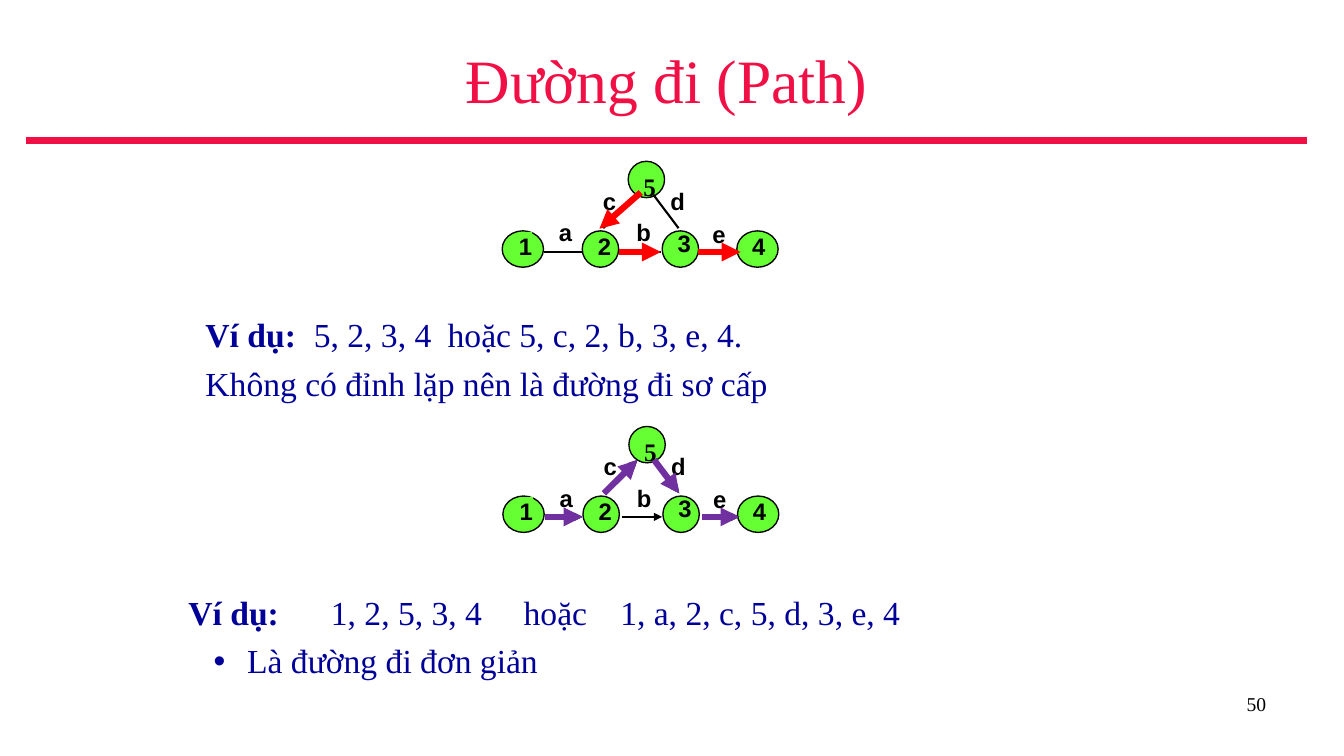
from lxml import etree
from pptx import Presentation
from pptx import util as u
from pptx.dml.color import RGBColor
from pptx.enum import shapes, text
from pptx.oxml import ns

COLORS = {"title": "F01045", "body": "000099", "ink": "000000",
          "node": "66FF33", "simple": "7030A0", "elementary": "FF0000"}
SERIF, SANS = "Times New Roman", "Arial"
NODES = [(0, 49.7, 29.5), (57.2, 49.7, 26), (114.3, 49.7, 26), (167.6, 49.7, 29.5)]
LABELS = {"2": (68.4, 50.4), "3": (125.4, 48.2), "4": (178.6, 50.4),
          "a": (40.5, 40.6), "b": (95.8, 40.6), "c": (72, 18),
          "d": (120.2, 18), "e": (150.1, 41.8)}
EDGES = {"a": (30, 64.6, 57, 64.6), "b": (85, 64.6, 113.8, 64.6),
         "c": (72.2, 47.8, 96.2, 23.9), "d": (108, 23.9, 126, 47.8),
         "e": (142.6, 64.6, 169, 64.6)}
ELEMENTARY_PATH = [(99, 22.3, 69.5, 48.2), (83.2, 64.8, 113.4, 64.8),
                   (140, 64.8, 170.3, 64.8)]
SIMPLE_PATH = [EDGES[name] for name in "acde"]


class SlideBuilder:
    """Draws styled elements on the current slide, with lengths in points."""

    def __init__(self, slide):
        self.slide = slide

    def color(self, name):
        return RGBColor.from_string(COLORS[name])

    def style(self, font, size, color, bold=False, name=SERIF):
        font.name, font.size, font.bold = name, u.Pt(size), bold
        font.color.rgb = self.color(color)

    def place(self, shape, *box):
        shape.left, shape.top, shape.width, shape.height = map(u.Pt, box)

    def title(self, wording, *box):
        shape = self.slide.shapes.title
        self.place(shape, *box)
        frame = shape.text_frame
        frame.text = wording
        frame.auto_size = text.MSO_AUTO_SIZE.NONE
        frame.vertical_anchor = text.MSO_ANCHOR.TOP
        frame.margin_top = u.Pt(9.4)
        paragraph = frame.paragraphs[0]
        paragraph.alignment = text.PP_ALIGN.CENTER
        paragraph.space_before = u.Pt(0)
        self.style(paragraph.runs[0].font, 44, "title")

    def text_box(self, *box):
        frame = self.slide.shapes.add_textbox(*map(u.Pt, box)).text_frame
        frame.word_wrap = True
        return frame

    def number(self, wording, *box):
        frame = self.text_box(*box)
        frame.text = wording
        frame.paragraphs[0].alignment = text.PP_ALIGN.RIGHT
        self.style(frame.paragraphs[0].runs[0].font, 14, "ink")

    def example(self, box, wording, note, tabs, bullet=False):
        frame = self.text_box(*box)
        if bullet:
            self.clear_margins(frame)
        frame.text = "Ví dụ:"
        first = frame.paragraphs[0]
        first.add_run().text = wording
        tab_list = etree.SubElement(first._p.get_or_add_pPr(), ns.qn("a:tabLst"))
        for tab in tabs:
            etree.SubElement(tab_list, ns.qn("a:tab"), pos=str(u.Pt(tab)), algn="l")
        second = frame.add_paragraph()
        second.text = note
        if bullet:
            properties = second._p.get_or_add_pPr()
            properties.set("marL", str(u.Pt(36)))
            properties.set("indent", str(u.Pt(-18)))
            etree.SubElement(properties, ns.qn("a:buFont"), typeface=SANS)
            etree.SubElement(properties, ns.qn("a:buChar"), char="•")
        second.space_before = u.Pt(6)
        for run in first.runs + second.runs:
            self.style(run.font, 24, "body", bold=run.text == "Ví dụ:")

    def clear_margins(self, frame):
        frame.margin_left = frame.margin_top = frame.margin_right = frame.margin_bottom = 0

    def node(self, left, top, width, wording=""):
        shape = self.slide.shapes.add_shape(
            shapes.MSO_SHAPE.OVAL, *map(u.Pt, (left, top, width, 26)))
        shape.shadow.inherit = False
        shape.fill.solid()
        shape.fill.fore_color.rgb = self.color("node")
        shape.line.color.rgb = self.color("ink")
        shape.line.width = u.Pt(0.95)
        if wording:
            frame = shape.text_frame
            frame.text = wording
            frame.vertical_anchor = text.MSO_ANCHOR.TOP
            frame.paragraphs[0].alignment = text.PP_ALIGN.LEFT
            self.style(frame.paragraphs[0].runs[0].font, 18, "ink", bold=True)

    def label(self, wording, left, top, filled=False):
        width = 10.5 if wording in "bd" else 9.5
        shape = self.slide.shapes.add_textbox(*map(u.Pt, (left, top, width, 21)))
        if filled:
            shape.fill.solid()
            shape.fill.fore_color.rgb = self.color("node")
        frame = shape.text_frame
        self.clear_margins(frame)
        frame.word_wrap = False
        frame.auto_size = text.MSO_AUTO_SIZE.SHAPE_TO_FIT_TEXT
        frame.text = wording
        self.style(frame.paragraphs[0].runs[0].font, 17, "ink", bold=True, name=SANS)

    def line(self, ends, color, width, arrow=False):
        connector = self.slide.shapes.add_connector(
            shapes.MSO_CONNECTOR.STRAIGHT, *map(u.Pt, ends))
        connector.line.color.rgb = self.color(color)
        connector.line.width = u.Pt(width)
        if arrow:
            etree.SubElement(connector.line._get_or_add_ln(), ns.qn("a:tailEnd"),
                             type="triangle")
        etree.SubElement(connector._element.spPr, ns.qn("a:effectLst"))

    def graph(self, left, top, path, path_color, directed):
        def shift(ends):
            x1, y1, x2, y2 = ends
            return left + x1, top + y1, left + x2, top + y2

        for x, y, width in NODES:
            self.node(left + x, top + y, width)
        self.label("1", left + 12, top + 50.4, filled=True)
        self.node(left + 90, top, 26, "5")
        for ends in EDGES.values():
            self.line(shift(ends), "ink", 1.5, directed)
        for wording, (x, y) in LABELS.items():
            self.label(wording, left + x, top + y)
        for ends in path:
            self.line(shift(ends), path_color, 4.5, arrow=True)


def main():
    presentation = Presentation()
    presentation.slide_width, presentation.slide_height = u.Pt(960), u.Pt(540)
    builder = SlideBuilder(presentation.slides.add_slide(presentation.slide_layouts[5]))
    builder.line((18.9, 100.3, 933.8, 100.3), "title", 4.5)
    builder.title("Đường đi (Path)", 168.5, 20.2, 615.6, 59.8)
    builder.number("50", 687.6, 491, 223.9, 37.4)
    builder.example((134.6, 422.6, 655.2, 64.1),
                    "\t1, 2, 5, 3, 4\thoặc\t1, a, 2, c, 5, d, 3, e, 4",
                    " Là đường đi đơn giản", (101.8, 239.5, 308.5), bullet=True)
    builder.example((139.7, 221, 667.4, 71.3),
                    "\t5, 2, 3, 4\thoặc 5, c, 2, b, 3, e, 4.",
                    "Không có đỉnh lặp nên là đường đi sơ cấp", (77.4, 173))
    builder.graph(358.7, 115.2, ELEMENTARY_PATH, "elementary", directed=False)
    builder.graph(359.2, 304.6, SIMPLE_PATH, "simple", directed=True)
    presentation.save("out.pptx")


if __name__ == "__main__":
    main()
